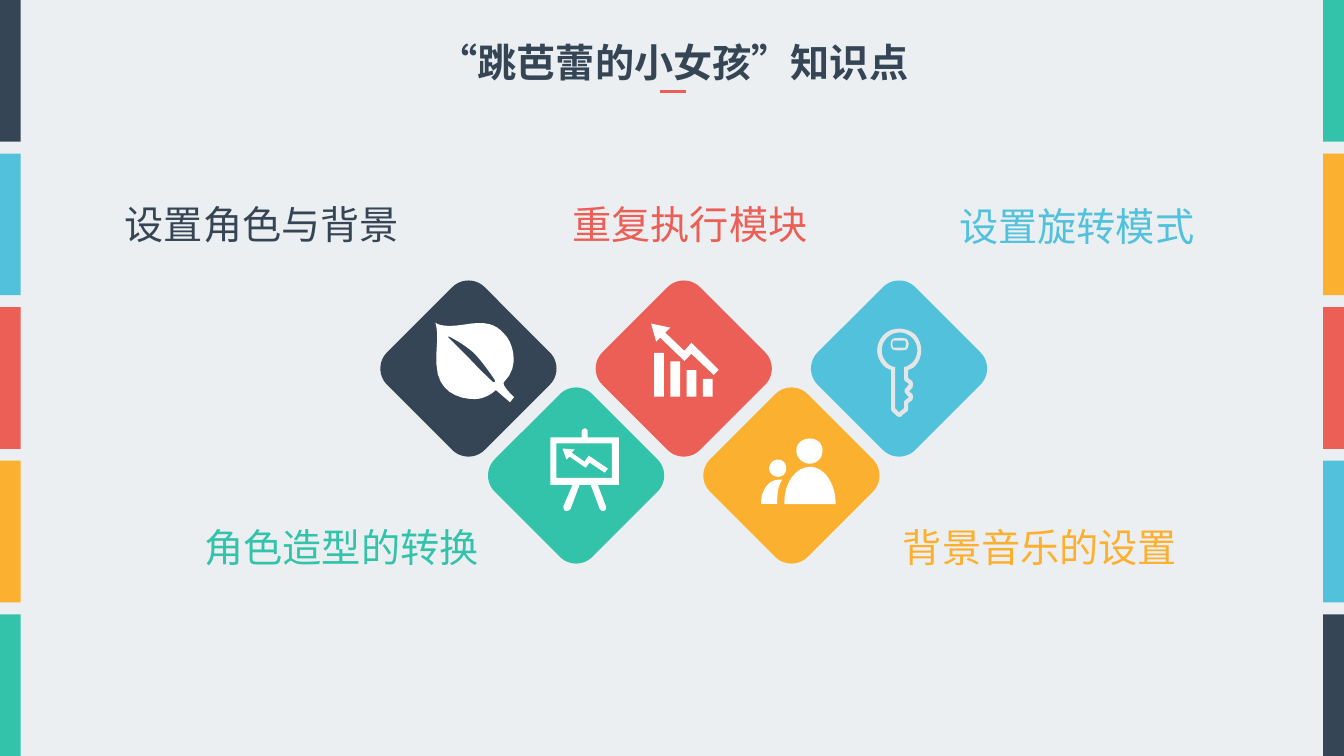
"""Build the slide of five knowledge points for the dancing girl lesson."""
from dataclasses import dataclass
from typing import Any

from lxml.etree import SubElement
from pptx import Presentation
from pptx.dml.color import RGBColor
from pptx.enum.shapes import MSO_CONNECTOR, MSO_SHAPE
from pptx.enum.text import MSO_ANCHOR, MSO_AUTO_SIZE, PP_ALIGN
from pptx.oxml.ns import qn
from pptx.shapes.base import BaseShape
from pptx.slide import Slide
from pptx.util import Pt

BACKGROUND = RGBColor(0xEC, 0xEF, 0xF1)
NAVY = RGBColor(0x36, 0x45, 0x55)
BLUE = RGBColor(0x52, 0xC2, 0xDC)
RED = RGBColor(0xEB, 0x5F, 0x56)
AMBER = RGBColor(0xFC, 0xB0, 0x30)
GREEN = RGBColor(0x33, 0xC3, 0xAB)
WHITE = RGBColor(0xFF, 0xFF, 0xFF)
LIGHT_GRAY = RGBColor(0xE7, 0xE6, 0xE6)

FONT = "Noto Sans CJK JP"
STRIPE_COLORS = (NAVY, BLUE, RED, AMBER, GREEN)
DIAMOND_COLORS = (NAVY, GREEN, RED, AMBER, BLUE)
CURVE_STEPS = 8


@dataclass(frozen=True)
class Box:
    """Position and size in points."""
    left: float
    top: float
    width: float
    height: float


@dataclass(frozen=True)
class Label:
    """Text with its place and look."""
    text: str
    box: Box
    color: RGBColor
    is_title: bool = False


@dataclass(frozen=True)
class Icon:
    """Closed contours of M, L and C commands in points."""
    contours: tuple[str, ...]
    color: RGBColor = WHITE


LABELS = (
    Label("“跳芭蕾的小女孩”知识点", Box(305.3, 23.8, 351.4, 41), NAVY, True),
    Label("设置角色与背景", Box(82.1, 139.7, 223.2, 41), NAVY),
    Label("重复执行模块", Box(401.8, 139.7, 195.1, 41), RED),
    Label("设置旋转模式", Box(678.2, 141.1, 193, 41), BLUE),
    Label("角色造型的转换", Box(139, 370.1, 241.9, 41), GREEN),
    Label("背景音乐的设置", Box(637.9, 370.1, 248.4, 41), AMBER),
)

LEAF = Icon((
    "M 311 230.4 C 311 230.4 314.6 234.7 331.9 231.8 C 347.8 229 354.2 231.8 360 238.3 "
    "C 365.8 243.4 372.2 261.4 360 272.9 C 357.8 275 367.2 283.7 367.2 283.7 "
    "L 364.3 287.3 L 354.2 278.6 C 354.2 278.6 347.8 285.1 339.1 285.1 "
    "C 326.9 285.1 312.5 279.4 311.8 260.6 C 311 249.1 313.9 240.5 311 230.4",
    "M 320.4 241.2 C 320.4 241.2 325.4 246.2 334.8 255.6 "
    "C 342.7 264.2 352.1 272.9 352.1 272.9 L 353.5 272.9 L 353.5 271.4 "
    "C 353.5 271.4 344.9 258.5 338.4 252 C 331.2 245.5 321.1 240.5 321.1 240.5 L 319.7 240.5"))
EASEL = Icon((
    "M 393.1 312.5 L 415.4 312.5 L 415.4 308.2 C 415.4 307.4 416.9 306 417.6 306 "
    "C 419 306 419.8 307.4 419.8 308.2 L 419.8 312.5 L 442.1 312.5 L 442.1 346.3 L 427 346.3 "
    "L 432.7 361.4 C 433.4 362.9 432.7 364.3 431.3 365 L 430.6 365 "
    "C 429.8 365 429.1 364.3 428.4 363.6 L 421.9 346.3 L 414 346.3 L 407.5 363.6 "
    "C 406.8 364.3 406.1 365 404.6 365 L 403.9 365 C 402.5 364.3 402.5 362.9 402.5 361.4 "
    "L 409 346.3 L 393.1 346.3",
    "M 397.4 341.3 L 437 341.3 L 437 316.8 L 397.4 316.8"))
EASEL_ARROW = Icon((
    "M 432 337.7 L 421.2 330.5 L 418.3 334.1 L 406.8 326.2 L 404.6 328.3 L 401.8 320.4 "
    "L 410.4 321.1 L 408.2 323.3 L 417.6 329.8 L 420.5 325.4 L 434.2 334.8",))
TREND_ARROW = Icon((
    "M 468.7 244.1 L 465.1 231.1 L 478.8 234 L 475.2 237.6 L 488.9 250.6 L 493.9 244.8 "
    "L 513.4 264.2 L 509.8 267.8 L 493.9 252.7 L 488.9 257.8 L 471.6 241.2",))
ADULT = Icon((
    "M 578.9 333.4 C 588.2 333.4 596.9 344.9 596.9 359.3 L 596.9 360 L 560.2 360 L 560.2 359.3 "
    "C 560.2 344.9 568.1 333.4 578.9 333.4",
    "M 578.2 331.2 C 573.1 331.2 568.8 326.9 568.8 321.8 C 568.8 316.8 573.1 313.2 578.2 313.2 "
    "C 583.9 313.2 587.5 316.8 587.5 321.8 C 587.5 326.9 583.9 331.2 578.2 331.2"))
CHILD = Icon((
    "M 555.8 342.7 L 558.7 342.7 C 555.8 347 555.1 352.8 555.1 359.3 L 555.1 360 L 543.6 360 "
    "L 543.6 359.3 C 543.6 349.9 549.4 342.7 555.8 342.7",
    "M 549.4 334.8 C 549.4 331.2 552.2 328.3 555.8 328.3 C 559.4 328.3 561.6 331.2 561.6 334.8 "
    "C 561.6 337.7 559.4 340.6 555.8 340.6 C 552.2 340.6 549.4 337.7 549.4 334.8"))
KEY = Icon((
    "M 651.6 259.2 C 649.4 260.6 648 262.1 645.8 262.1 L 645.8 270 "
    "C 645.8 270.7 645.8 271.4 646.6 272.2 L 649.4 274.3 L 647.3 277.2 "
    "C 645.8 277.9 645.8 280.1 647.3 281.5 L 649.4 283.7 L 646.6 285.8 "
    "C 645.8 286.6 645.8 287.3 645.8 288 L 645.8 291.6 L 642.2 294.5 L 639.4 291.6 "
    "L 639.4 262.1 C 637.2 262.1 635 260.6 633.6 259.2 C 628.6 254.2 628.6 246.2 633.6 241.2 "
    "C 638.6 236.2 646.6 236.2 651.6 241.2 C 656.6 246.2 656.6 254.2 651.6 259.2",
    "M 631.4 239 C 625 245.5 625 254.9 631.4 261.4 C 632.9 262.8 634.3 263.5 636.5 264.2 "
    "L 636.5 291.6 C 636.5 292.3 636.5 293 637.2 293.8 L 640.1 296.6 "
    "C 641.5 298.1 643.7 298.1 644.4 296.6 L 648 293.8 C 648.7 293 648.7 292.3 648.7 291.6 "
    "L 648.7 288 L 651.6 285.8 C 652.3 284.4 652.3 282.2 651.6 281.5 L 649.4 279.4 "
    "L 651.6 277.2 C 652.3 275.8 652.3 273.6 651.6 272.2 L 648.7 270 L 648.7 264.2 "
    "C 650.9 263.5 652.3 262.8 653.8 261.4 C 659.5 254.9 659.5 245.5 653.8 239 "
    "C 647.3 233.3 637.2 233.3 631.4 239"), LIGHT_GRAY)
KEYHOLE = Icon((
    "M 646.6 248.4 L 637.9 248.4 C 637.2 246.2 637.2 244.8 637.9 243.4 L 646.6 243.4 "
    "C 647.3 244.8 647.3 246.2 646.6 248.4",
    "M 647.3 241.9 C 643.7 241.2 640.8 241.2 637.9 241.9 L 637.2 242.6 "
    "C 635.8 244.8 635.8 247 637.2 249.1 L 637.9 249.8 C 640.8 250.6 643.7 250.6 647.3 249.8 "
    "L 648 249.1 C 649.4 247 649.4 244.8 648 242.6"), LIGHT_GRAY)
ICONS = (LEAF, EASEL, EASEL_ARROW, TREND_ARROW, ADULT, CHILD, KEY, KEYHOLE)


def apply_format(target: Any, values: dict[str, Any]) -> None:
    for name, value in values.items():
        setattr(target, name, value)


def paint(shape: BaseShape, color: RGBColor) -> None:
    shape.shadow.inherit = False
    shape.fill.solid()
    shape.fill.fore_color.rgb = color
    shape.line.fill.background()


def add_block(slide: Slide, kind: MSO_SHAPE, box: Box, color: RGBColor, rotation: float = 0) -> None:
    shape = slide.shapes.add_shape(kind, Pt(box.left), Pt(box.top), Pt(box.width), Pt(box.height))
    shape.rotation = rotation
    paint(shape, color)


def curve_points(controls: list[tuple[float, float]]) -> list[tuple[float, float]]:
    points = []
    for step in range(1, CURVE_STEPS + 1):
        t = step / CURVE_STEPS
        weights = ((1 - t) ** 3, 3 * t * (1 - t) ** 2, 3 * t * t * (1 - t), t ** 3)
        points.append(tuple(sum(w * p[axis] for w, p in zip(weights, controls)) for axis in (0, 1)))
    return points


def contour_points(contour: str) -> list[tuple[int, int]]:
    points: list[tuple[float, float]] = []
    tokens = iter(contour.split())
    for command in tokens:
        count = 3 if command == "C" else 1
        targets = [(float(next(tokens)), float(next(tokens))) for _ in range(count)]
        points += curve_points([points[-1], *targets]) if command == "C" else targets
    return [(Pt(x), Pt(y)) for x, y in points]


def add_icon(slide: Slide, icon: Icon) -> None:
    first, *others = [contour_points(contour) for contour in icon.contours]
    builder = slide.shapes.build_freeform(*first[0])
    builder.add_line_segments(first[1:], close=True)
    for contour in others:
        builder.move_to(*contour[0])
        builder.add_line_segments(contour[1:], close=True)
    paint(builder.convert_to_shape(), icon.color)


def add_label(slide: Slide, label: Label) -> None:
    box = label.box
    shape = slide.shapes.add_textbox(Pt(box.left), Pt(box.top), Pt(box.width), Pt(box.height))
    apply_format(shape.text_frame, {"word_wrap": not label.is_title, "vertical_anchor": MSO_ANCHOR.TOP,
                                    "auto_size": MSO_AUTO_SIZE.SHAPE_TO_FIT_TEXT})
    paragraph = shape.text_frame.paragraphs[0]
    paragraph.alignment = PP_ALIGN.CENTER if label.is_title else PP_ALIGN.LEFT
    run = paragraph.add_run()
    run.text = label.text
    apply_format(run.font, {"name": FONT, "size": Pt(28), "bold": label.is_title})
    run.font.color.rgb = label.color
    SubElement(run.font._element, qn("a:ea"), typeface=FONT)


def add_title_rule(slide: Slide) -> None:
    rule = slide.shapes.add_connector(MSO_CONNECTOR.STRAIGHT, Pt(471.6), Pt(65.5), Pt(490.3), Pt(65.5))
    rule.line.width = Pt(2.25)
    rule.line.color.rgb = RED
    SubElement(rule._element.spPr, qn("a:effectLst"))


def main() -> None:
    presentation = Presentation()
    apply_format(presentation, {"slide_width": Pt(960), "slide_height": Pt(540)})
    slide = presentation.slides.add_slide(presentation.slide_layouts[6])
    slide.background.fill.solid()
    slide.background.fill.fore_color.rgb = BACKGROUND
    for left, colors in ((0, STRIPE_COLORS), (945.2, STRIPE_COLORS[::-1])):
        for row, color in enumerate(colors):
            add_block(slide, MSO_SHAPE.RECTANGLE, Box(left, 109.7 * row, 14.8, 101.2), color)
    for column, color in enumerate(DIAMOND_COLORS):
        box = Box(285.3 + 76.9 * column, 214 + 76.4 * (column % 2), 98.6, 98.6)
        add_block(slide, MSO_SHAPE.ROUNDED_RECTANGLE, box, color, 45)
    for column in range(4):
        height = 31.4 - 6.2 * column
        box = Box(467.3 + 11.6 * column, 283.4 - height, 7, height)
        add_block(slide, MSO_SHAPE.RECTANGLE, box, WHITE)
    for icon in ICONS:
        add_icon(slide, icon)
    for label in LABELS:
        add_label(slide, label)
    add_title_rule(slide)
    presentation.save("out.pptx")


if __name__ == "__main__":
    main()
